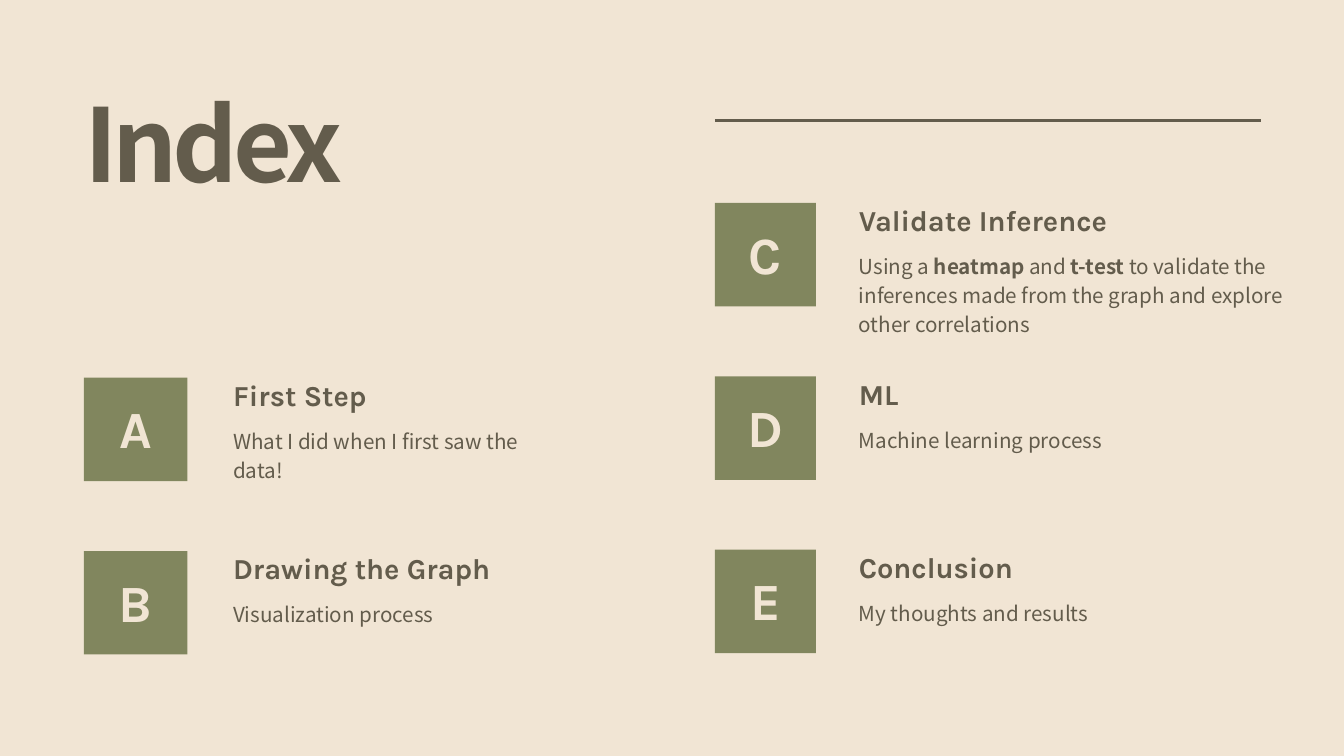
from pptx import Presentation
from pptx.dml.color import RGBColor
from pptx.enum.shapes import MSO_CONNECTOR as Conn, MSO_SHAPE as Shape
from pptx.enum.text import MSO_ANCHOR as Anchor, MSO_AUTO_SIZE as Auto, PP_ALIGN as Align
from pptx.oxml.ns import qn
from pptx.util import Emu, Pt

SAND, BROWN, OLIVE = "F1E5D4", "635C4C", "81865E"
HEAD, BODY = "Karla", "Noto Sans CJK KR"
STEP = 258
# left, top of first row, tile width, text left, items (letter, head, body parts, text width)
# Every second body part is bold.
COLS = [
    (125, 562, 154, 347, [
        ("A", "First Step", ["What I did when I first saw the data!"], 489),
        ("B", "Drawing the Graph", ["Visualization process"], 630),
    ]),
    (1064, 302, 150, 1278, [
        ("C", "Validate Inference", [
            "Using a", " heatmap ", "and ", "t-test",
            " to validate the inferences made from the graph"
            " and explore other correlations"], 688),
        ("D", "ML", ["Machine learning process"], 622),
        ("E", "Conclusion", ["My thoughts and results"], 583),
    ]),
]


def px(n):
    """Turn px, 100 to the inch, into EMU."""
    return Emu(n * 9144)


def rgb(code):
    return RGBColor.from_string(code)


def style(run, face, size, color, bold):
    font = run.font
    font.name, font.size, font.bold = face, Pt(size), bold
    font.color.rgb = rgb(color)


def setup(frame, margins):
    """Set wrapping and the left, top, right and bottom insets."""
    frame.word_wrap = True
    frame.auto_size = Auto.NONE
    (frame.margin_left, frame.margin_top,
     frame.margin_right, frame.margin_bottom) = map(px, margins)


def add_title(slide, text):
    title = slide.shapes.title
    title.left, title.top, title.width, title.height = map(px, (125, 136, 787, 169))
    frame = title.text_frame
    setup(frame, (0, 0, 0, 0))
    frame.vertical_anchor = Anchor.TOP
    frame.text = text
    para = frame.paragraphs[0]
    para.alignment, para.line_spacing = Align.LEFT, Pt(119.8)
    run = para.runs[0]
    style(run, BODY, 109, BROWN, True)
    run.font._element.set("spc", "-540")


def add_tile(slide, x, y, w, letter):
    tile = slide.shapes.add_shape(Shape.RECTANGLE, px(x), px(y), px(w), px(154))
    tile.shadow.inherit = False
    tile.fill.solid()
    tile.fill.fore_color.rgb = rgb(OLIVE)
    tile.line.fill.background()
    frame = tile.text_frame
    setup(frame, (6, 6, 6, 10))
    frame.vertical_anchor = Anchor.MIDDLE
    frame.text = letter
    para = frame.paragraphs[0]
    para.alignment, para.line_spacing = Align.CENTER, Pt(67.2)
    style(para.runs[0], HEAD, 56, SAND, True)


def add_text(slide, box, parts, face, size, lead, bold=False):
    """Add a text box whose every second part has the other weight."""
    frame = slide.shapes.add_textbox(*map(px, box)).text_frame
    setup(frame, (0, 0, 0, 0))
    para = frame.paragraphs[0]
    para.line_spacing = Pt(lead)
    for i, part in enumerate(parts):
        run = para.add_run()
        run.text = part
        style(run, face, size, BROWN, bold != (i % 2 == 1))


def add_rule(slide, x, y, end):
    rule = slide.shapes.add_connector(Conn.STRAIGHT, px(x), px(y), px(end), px(y))
    rule.line.color.rgb = rgb(BROWN)
    rule.line.width = Pt(3)
    props = rule._element.spPr
    props.append(props.makeelement(qn("a:effectLst"), {}))


def main():
    deck = Presentation()
    deck.slide_width, deck.slide_height = px(2000), px(1125)
    slide = deck.slides.add_slide(deck.slide_layouts[5])
    slide.background.fill.solid()
    slide.background.fill.fore_color.rgb = rgb(SAND)

    add_title(slide, "Index")
    add_rule(slide, 1064, 179, 1876)
    for left, top, side, text_x, items in COLS:
        for row, (letter, head, body, width) in enumerate(items):
            y = top + row * STEP
            add_tile(slide, left, y, side, letter)
            add_text(slide, (text_x, y, width, 52), [head], HEAD, 31, 37.2, True)
            add_text(slide, (text_x, y + 70, width, 81), body, BODY, 22.1, 31)
    deck.save("out.pptx")


if __name__ == "__main__":
    main()
